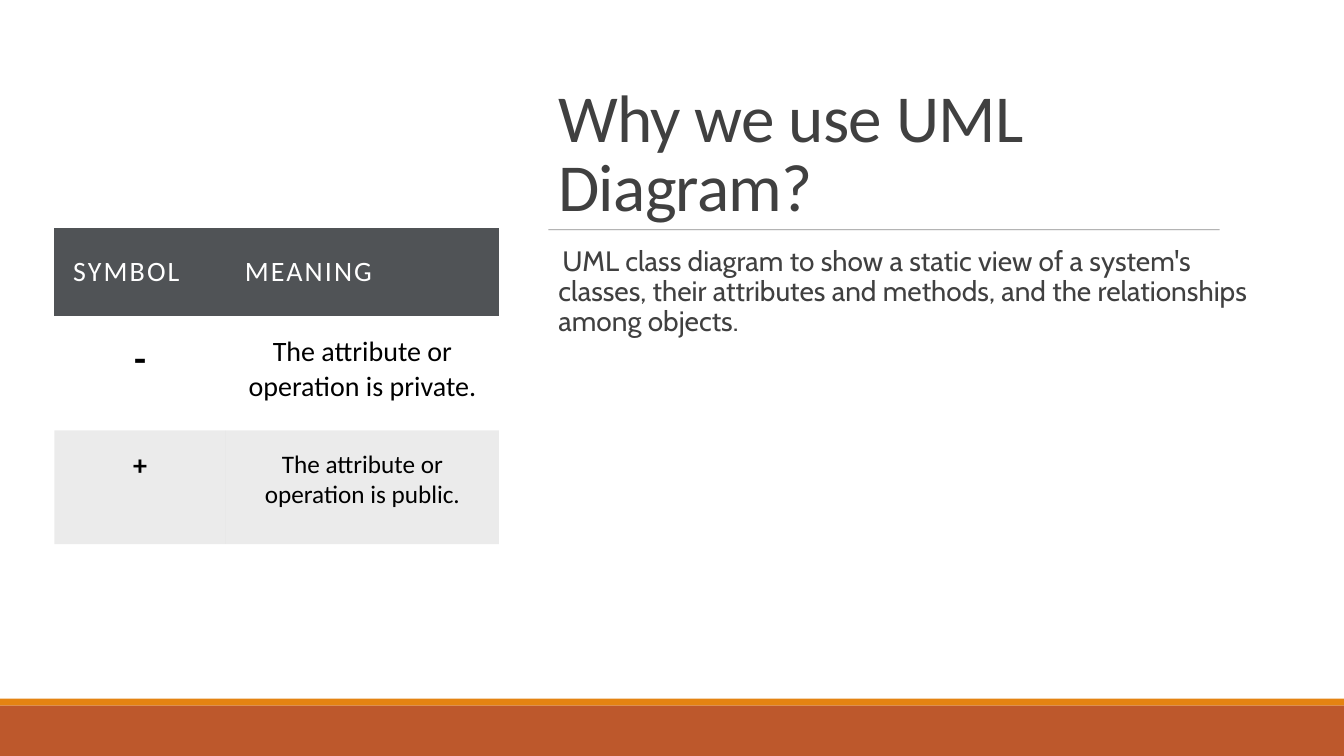
"""Builds a slide on why UML diagrams are used, with a table of visibility symbols."""
from lxml.etree import SubElement
from pptx import Presentation
from pptx.dml.color import RGBColor
from pptx.enum.shapes import MSO_CONNECTOR, MSO_SHAPE
from pptx.enum.text import MSO_ANCHOR, PP_ALIGN
from pptx.oxml.ns import qn
from pptx.util import Pt

WIDTH, HEIGHT = 960, 540
TITLE = "Why we use UML Diagram?"
BODY = ("UML class diagram to show a static view of a system's classes, "
        "their attributes and methods, and the relationships among objects.")
BANDS = [(0, 499, "FFFFFF"), (499, 504, "E48312"), (504, HEIGHT, "BD582C")]
HEADINGS = ["SYMBOL", "MEANING"]
MEANINGS = [
    [("-", 28), ("The attribute or operation is private.", 20)],
    [("+", 20), ("The attribute or operation is public.", 18)],
]
COLUMNS, ROWS = [122.6, 195], [63.2, 81.4, 81.4]
TABLE_LEFT, TABLE_TOP, CELL_MARGIN = 38.8, 162.8, 13.5
TEXT_LEFT, TEXT_WIDTH = 391.7, 517.7
TITLE_TOP, RULE_TOP, BODY_TOP = 49.7, 164.2, 172.8
RULE_RIGHT = 871.2
PLAIN_TABLE = "{2D5ABB26-0587-4C30-8999-92F81FD0307C}"


def paint(fill, color, opacity=100):
    fill.solid()
    fill.fore_color.rgb = RGBColor.from_string(color)
    if opacity < 100:
        tint = fill._xPr.find(qn("a:solidFill"))[0]
        SubElement(tint, qn("a:alpha"), val=str(opacity * 1000))


def style(paragraph, size, color, font="Calibri", bold=False, spacing=0):
    for run in paragraph.runs:
        run.font.size, run.font.name, run.font.bold = Pt(size), font, bold
        paint(run.font.fill, color)
        run._r.get_or_add_rPr().set("spc", str(int(spacing * 100)))


def add_text(slide, top, height, text, side_margin, anchor):
    box = slide.shapes.add_textbox(Pt(TEXT_LEFT), Pt(top), Pt(TEXT_WIDTH), Pt(height))
    frame = box.text_frame
    frame.text = text
    frame.word_wrap = True
    frame.vertical_anchor = anchor
    frame.margin_left = frame.margin_right = Pt(side_margin)
    return frame.paragraphs[0]


def add_bands(slide):
    for top, bottom, color in BANDS:
        band = slide.shapes.add_shape(MSO_SHAPE.RECTANGLE, 0, Pt(top), Pt(WIDTH), Pt(bottom - top))
        band.shadow.inherit = False
        band.line.fill.background()
        paint(band.fill, color)


def add_rule(slide):
    rule = slide.shapes.add_connector(
        MSO_CONNECTOR.STRAIGHT, Pt(TEXT_LEFT), Pt(RULE_TOP), Pt(RULE_RIGHT), Pt(RULE_TOP))
    rule.line.width = Pt(0.5)
    paint(rule.line.fill, "808080", 90)
    SubElement(rule._element.spPr, qn("a:effectLst"))


def add_body(slide):
    body = add_text(slide, BODY_TOP, 288.7, BODY, 0, MSO_ANCHOR.TOP)
    body.line_spacing, body.space_before, body.space_after = 0.9, Pt(12), Pt(2)
    style(body, 20, "404040", font="Cabin")
    properties = body._p.get_or_add_pPr()
    properties.set("marL", str(Pt(7.2)))
    properties.set("indent", str(Pt(-7.2)))
    bullet_color = SubElement(properties, qn("a:buClr"))
    SubElement(bullet_color, qn("a:srgbClr"), val="E48312")
    SubElement(properties, qn("a:buChar"), char=" ")


def fill_cell(cell, text):
    cell.text_frame.text = text
    cell.margin_left = cell.margin_right = Pt(CELL_MARGIN)
    cell.margin_top = cell.margin_bottom = Pt(CELL_MARGIN)
    return cell.text_frame.paragraphs[0]


def add_symbols(slide):
    symbols = slide.shapes.add_table(
        len(ROWS), len(COLUMNS), Pt(TABLE_LEFT), Pt(TABLE_TOP), Pt(sum(COLUMNS)), Pt(sum(ROWS))).table
    symbols._tbl.tblPr.find(qn("a:tableStyleId")).text = PLAIN_TABLE
    symbols.horz_banding = False
    for column, width in zip(symbols.columns, COLUMNS):
        column.width = Pt(width)
    for row, height in zip(symbols.rows, ROWS):
        row.height = Pt(height)
    for column, heading in enumerate(HEADINGS):
        cell = symbols.cell(0, column)
        style(fill_cell(cell, heading), 20, "FFFFFF", spacing=1.5)
        cell.vertical_anchor = MSO_ANCHOR.MIDDLE
        paint(cell.fill, "505356")
    for row, entries in enumerate(MEANINGS, 1):
        for column, (text, size) in enumerate(entries):
            cell = symbols.cell(row, column)
            entry = fill_cell(cell, text)
            entry.alignment = PP_ALIGN.CENTER
            style(entry, size, "000000", bold=column == 0)
            if row % 2:
                cell.fill.background()
            else:
                paint(cell.fill, "000000", 8)


def main():
    deck = Presentation()
    deck.slide_width, deck.slide_height = Pt(WIDTH), Pt(HEIGHT)
    slide = deck.slides.add_slide(deck.slide_layouts[6])
    add_bands(slide)
    title = add_text(slide, TITLE_TOP, 114.5, TITLE, 7.2, MSO_ANCHOR.BOTTOM)
    title.line_spacing = 0.85
    style(title, 48, "404040", spacing=-0.5)
    add_rule(slide)
    add_body(slide)
    add_symbols(slide)
    deck.save("out.pptx")


if __name__ == "__main__":
    main()
